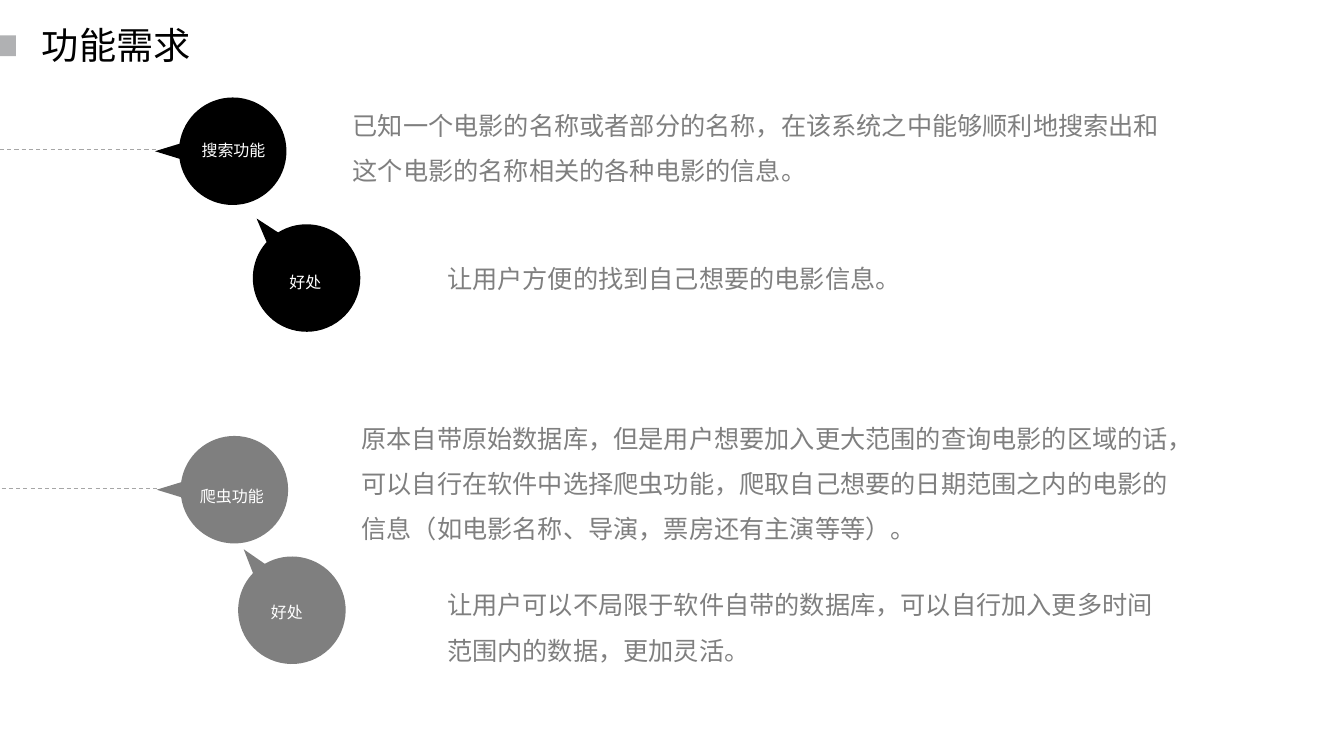
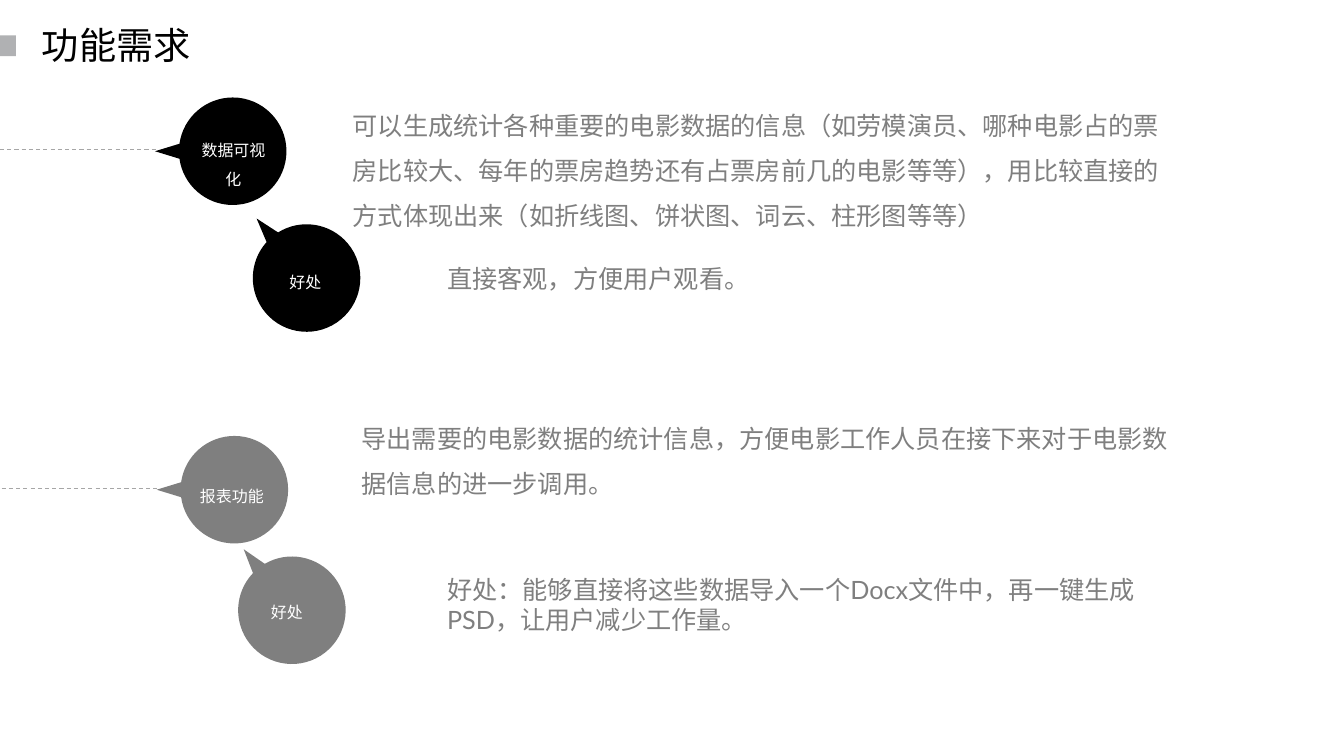
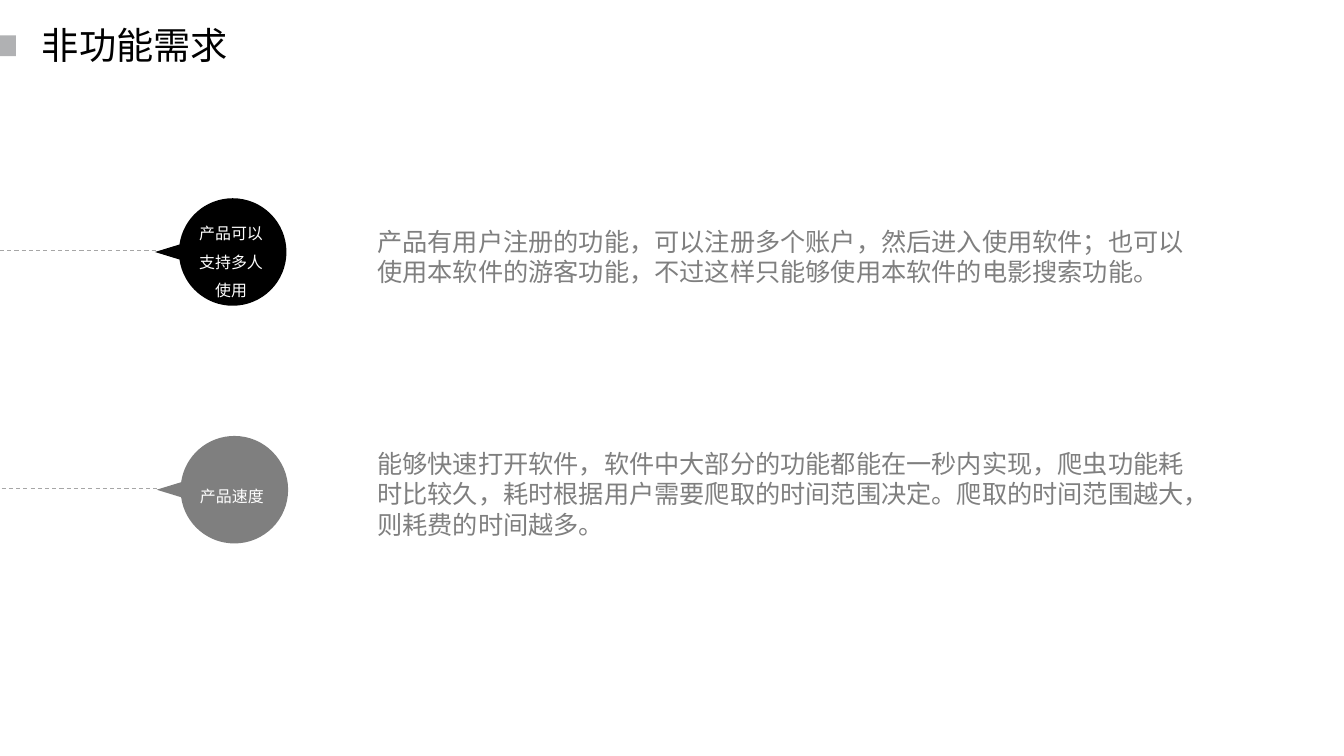
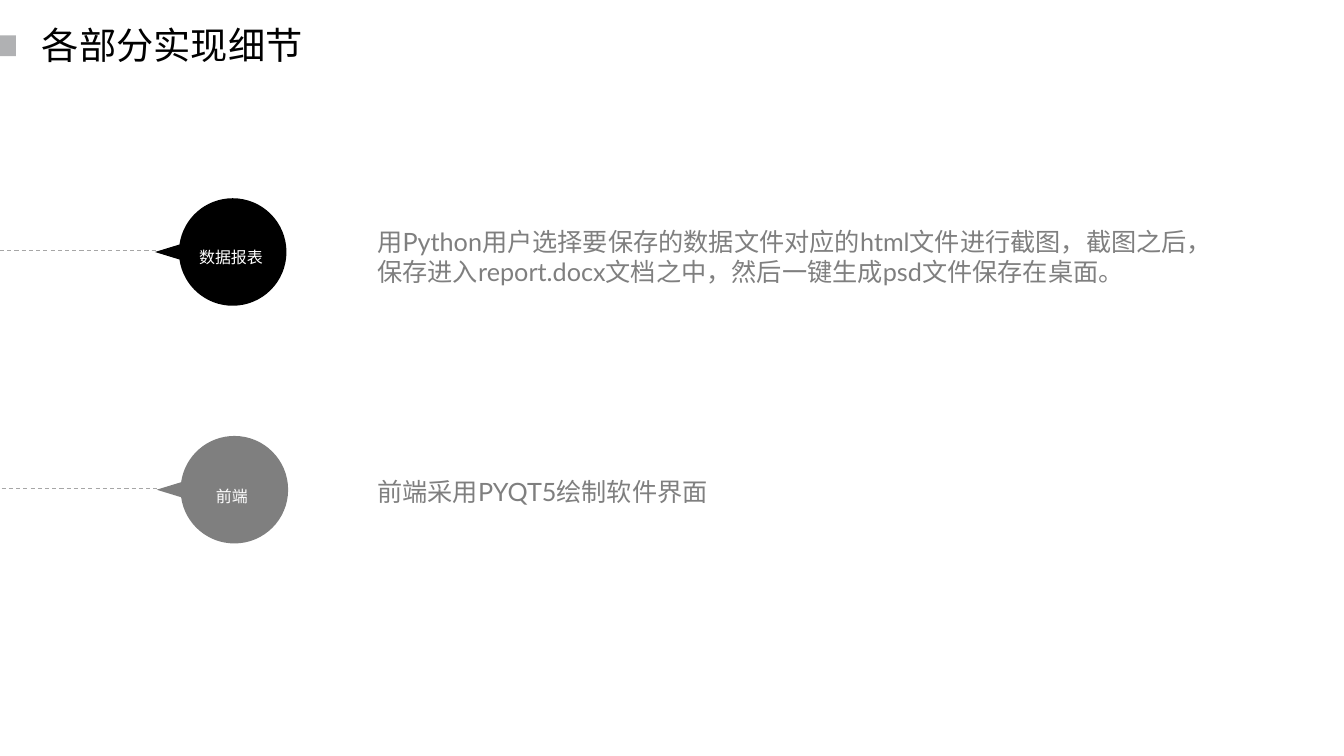
import dataclasses
import math

import pptx
import pptx.dml.color
import pptx.enum.dml
import pptx.enum.lang
import pptx.enum.shapes
import pptx.enum.text
import pptx.oxml
import pptx.oxml.ns
import pptx.util

SLIDE_WIDTH = pptx.util.Inches(13.333)
SLIDE_HEIGHT = pptx.util.Inches(7.5)
COLUMNS = 32  # 32 columns by 18 rows give square modules
MODULE = SLIDE_WIDTH / COLUMNS
MODULES_PER_POINT = pptx.util.Pt(1) / MODULE
INSETS = 0.48  # left and right text insets together, in modules
TITLE_SLACK = 0.05


@dataclasses.dataclass(frozen=True)
class TextStyle:
    font: str
    size: float
    colour: str
    spacing: float = 1.0
    centred: bool = False


@dataclasses.dataclass(frozen=True)
class Theme:
    black: str = "000000"
    grey: str = "7F7F7F"
    marker: str = "B0B1B3"
    rule: str = "A6A6A6"
    rule_width: float = 0.75
    east_asian_font: str = "Lato"
    title: TextStyle = TextStyle("Noto Sans CJK SC", 26.6, "000000")
    label: TextStyle = TextStyle("Arial", 11.4, "FFFFFF", 1.5, True)
    body: TextStyle = TextStyle("Lato", 18, "7F7F7F")
    loose_body: TextStyle = TextStyle("Lato", 18, "7F7F7F", 1.5)


THEME = Theme()

# Bubble measures in modules
RADIUS = 1.28
TIP_REACH = 1.85
CORE_RADIUS = 1.02
ARC_ANGLES = (8, 90, 180, 270, 352)

# Bubble centres and pointer directions: (column, row, degrees)
UPPER = (5.54, 3.6, 180)
MIDDLE = (5.54, 6, 180)
LOWER = (5.58, 11.66, 180)
UPPER_BENEFIT = (7.3, 6.62, 230)
LOWER_BENEFIT = (6.95, 14.53, 231.7)


def modules(count):
    return pptx.util.Emu(round(count * MODULE))


def rgb(colour):
    return pptx.dml.color.RGBColor.from_string(colour)


def set_attributes(target, values):
    for name, value in values.items():
        setattr(target, name, value)


def paint(shape, colour):
    shape.shadow.inherit = False
    shape.fill.solid()
    shape.fill.fore_color.rgb = rgb(colour)
    shape.line.fill.background()


def add_text(slide, text, left, top, width, lines, style, wrap=True):
    """Place one paragraph; the height follows from its number of lines."""
    line_height = style.size * 1.2 * style.spacing * MODULES_PER_POINT
    box = slide.shapes.add_textbox(modules(left), modules(top), modules(width),
                                   modules(lines * line_height + INSETS / 2))
    frame = box.text_frame
    set_attributes(frame, {
        "word_wrap": wrap,
        "auto_size": pptx.enum.text.MSO_AUTO_SIZE.SHAPE_TO_FIT_TEXT,
    })
    paragraph = frame.paragraphs[0]
    alignment = pptx.enum.text.PP_ALIGN
    set_attributes(paragraph, {
        "line_spacing": style.spacing,
        "alignment": alignment.CENTER if style.centred else alignment.LEFT,
    })
    run = paragraph.add_run()
    run.text = text
    run.font.color.rgb = rgb(style.colour)
    set_attributes(run.font, {
        "name": style.font,
        "size": pptx.util.Pt(style.size),
        "language_id": pptx.enum.lang.MSO_LANGUAGE_ID.SIMPLIFIED_CHINESE,
    })
    run._r.get_or_add_rPr().append(pptx.oxml.parse_xml(
        f'<a:ea {pptx.oxml.ns.nsdecls("a")} typeface="{THEME.east_asian_font}"/>'))


def add_titled_slide(presentation, title):
    slide = presentation.slides.add_slide(presentation.slide_layouts[6])
    marker = slide.shapes.add_shape(
        pptx.enum.shapes.MSO_SHAPE.RECTANGLE,
        modules(0), modules(0.84), modules(0.38), modules(0.5))
    paint(marker, THEME.marker)
    width = len(title) * THEME.title.size * MODULES_PER_POINT + INSETS + TITLE_SLACK
    add_text(slide, title, 0.76, 0.41, width, 1, THEME.title, wrap=False)
    return slide


def round_arcs(outline, centre_x, centre_y):
    """Turn the straight steps between the arc angles into Bézier curves."""
    steps = outline._element.xpath(".//a:lnTo")
    for step, start, end in zip(steps[1:], ARC_ANGLES, ARC_ANGLES[1:]):
        begin, finish = math.radians(start), math.radians(end)
        pull = 4 / 3 * math.tan((finish - begin) / 4)
        controls = (
            (math.cos(begin) - pull * math.sin(begin),
             math.sin(begin) + pull * math.cos(begin)),
            (math.cos(finish) + pull * math.sin(finish),
             math.sin(finish) - pull * math.cos(finish)),
            (math.cos(finish), math.sin(finish)),
        )
        points = "".join(
            f'<a:pt x="{modules(centre_x + RADIUS * x) - outline.left}"'
            f' y="{modules(centre_y + RADIUS * y) - outline.top}"/>'
            for x, y in controls)
        curve = pptx.oxml.parse_xml(
            f'<a:cubicBezTo {pptx.oxml.ns.nsdecls("a")}>{points}</a:cubicBezTo>')
        step.getparent().replace(step, curve)


def add_bubble(slide, place, colour):
    """Draw a disc with a pointer: outlined pointing right, then rotated."""
    column, row, degrees = place
    group = slide.shapes.add_group_shape()
    shift = (TIP_REACH - RADIUS) / 2
    direction = math.radians(degrees)
    disc_x = column + shift * math.cos(direction) - shift
    disc_y = row + shift * math.sin(direction)
    builder = group.shapes.build_freeform(
        modules(disc_x + TIP_REACH), modules(disc_y), scale=1.0)
    builder.add_line_segments(
        [(modules(disc_x + RADIUS * math.cos(math.radians(angle))),
          modules(disc_y + RADIUS * math.sin(math.radians(angle))))
         for angle in ARC_ANGLES], close=True)
    outline = builder.convert_to_shape()
    round_arcs(outline, disc_x, disc_y)
    core = group.shapes.add_shape(
        pptx.enum.shapes.MSO_SHAPE.OVAL,
        modules(column - CORE_RADIUS), modules(row - CORE_RADIUS),
        modules(2 * CORE_RADIUS), modules(2 * CORE_RADIUS))
    for shape in (outline, core):
        paint(shape, colour)
        shape.rotation = degrees


def add_lead_line(slide, place):
    """Draw the dashed line from the left edge to the bubble's tip."""
    column, row, _ = place
    height = modules(row - 0.03)
    line = slide.shapes.add_connector(
        pptx.enum.shapes.MSO_CONNECTOR.STRAIGHT,
        modules(column - UPPER[0]), height, modules(column - 1.82), height)
    line.line.color.rgb = rgb(THEME.rule)
    set_attributes(line.line, {
        "width": pptx.util.Pt(THEME.rule_width),
        "dash_style": pptx.enum.dml.MSO_LINE.DASH,
    })
    line._element.spPr.append(pptx.oxml.parse_xml(
        f'<a:effectLst {pptx.oxml.ns.nsdecls("a")}/>'))


def add_topic(slide, place, colour, label, label_at, label_width=2.02, label_lines=1):
    add_bubble(slide, place, colour)
    if place[2] == 180:
        add_lead_line(slide, place)
    add_text(slide, label, *label_at, label_width, label_lines, THEME.label)


def add_function_slide(presentation, upper, lower):
    """Show two functions, each as (label, lines, text, lines, benefit, lines, style)."""
    slide = add_titled_slide(presentation, "功能需求")
    layout = (
        (upper, THEME.black, UPPER, (4.55, 3), (8.16, 2.14),
         UPPER_BENEFIT, (6.26, 6.14), (10.41, 5.78), 11.95),
        (lower, THEME.grey, LOWER, (4.51, 11.23), (8.37, 9.59),
         LOWER_BENEFIT, (5.82, 13.99), (10.41, 13.56), 17.66),
    )
    for (content, colour, place, label_at, text_at,
         benefit_place, benefit_label_at, benefit_at, benefit_width) in layout:
        label, label_lines, text, lines, benefit, benefit_lines, style = content
        add_topic(slide, place, colour, label, label_at, label_lines=label_lines)
        add_text(slide, text, *text_at, 19.9, lines, THEME.loose_body)
        add_topic(slide, benefit_place, colour, "好处", benefit_label_at)
        add_text(slide, benefit, *benefit_at, benefit_width, benefit_lines, style)


def add_detail_slide(presentation, title, upper, lower):
    """Show two topics, each as (label, label row, lines, text, text row, lines)."""
    slide = add_titled_slide(presentation, title)
    layout = ((upper, THEME.black, MIDDLE, 4.36, 2.28),
              (lower, THEME.grey, LOWER, 4.51, 2.02))
    for content, colour, place, label_column, label_width in layout:
        label, label_row, label_lines, text, text_row, lines = content
        add_topic(slide, place, colour, label, (label_column, label_row),
                  label_width, label_lines)
        add_text(slide, text, 8.75, text_row, 19.9, lines, THEME.body)


def main():
    presentation = pptx.Presentation()
    set_attributes(presentation, {"slide_width": SLIDE_WIDTH, "slide_height": SLIDE_HEIGHT})
    add_function_slide(
        presentation,
        ("搜索功能", 1,
         "已知一个电影的名称或者部分的名称，在该系统之中能够顺利地搜索出和"
         "这个电影的名称相关的各种电影的信息。", 2,
         "让用户方便的找到自己想要的电影信息。", 1, THEME.loose_body),
        ("爬虫功能", 1,
         "原本自带原始数据库，但是用户想要加入更大范围的查询电影的区域的话，"
         "可以自行在软件中选择爬虫功能，爬取自己想要的日期范围之内的电影的"
         "信息（如电影名称、导演，票房还有主演等等）。", 3,
         "让用户可以不局限于软件自带的数据库，可以自行加入更多时间"
         "范围内的数据，更加灵活。", 2, THEME.loose_body))
    add_function_slide(
        presentation,
        ("数据可视化", 2,
         "可以生成统计各种重要的电影数据的信息（如劳模演员、哪种电影占的票"
         "房比较大、每年的票房趋势还有占票房前几的电影等等），用比较直接的"
         "方式体现出来（如折线图、饼状图、词云、柱形图等等）", 3,
         "直接客观，方便用户观看。", 1, THEME.loose_body),
        ("报表功能", 1,
         "导出需要的电影数据的统计信息，方便电影工作人员在接下来对于电影数"
         "据信息的进一步调用。", 2,
         "好处：能够直接将这些数据导入一个Docx文件中，再一键生成"
         "PSD，让用户减少工作量。", 2, THEME.body))
    add_detail_slide(
        presentation, "非功能需求",
        ("产品可以支持多人使用", 4.98, 3,
         "产品有用户注册的功能，可以注册多个账户，然后进入使用软件；也可以"
         "使用本软件的游客功能，不过这样只能够使用本软件的电影搜索功能。", 5.27, 2),
        ("产品速度", 11.23, 1,
         "能够快速打开软件，软件中大部分的功能都能在一秒内实现，爬虫功能耗"
         "时比较久，耗时根据用户需要爬取的时间范围决定。爬取的时间范围越大，"
         "则耗费的时间越多。", 10.56, 3))
    add_detail_slide(
        presentation, "各部分实现细节",
        ("数据报表", 5.54, 1,
         "用Python用户选择要保存的数据文件对应的html文件进行截图，截图之"
         "后，保存进入report.docx文档之中，然后一键生成psd文件保存在桌面。", 5.27, 2),
        ("前端", 11.23, 1, "前端采用PYQT5绘制软件界面", 11.23, 1))
    presentation.save("out.pptx")


if __name__ == "__main__":
    main()
